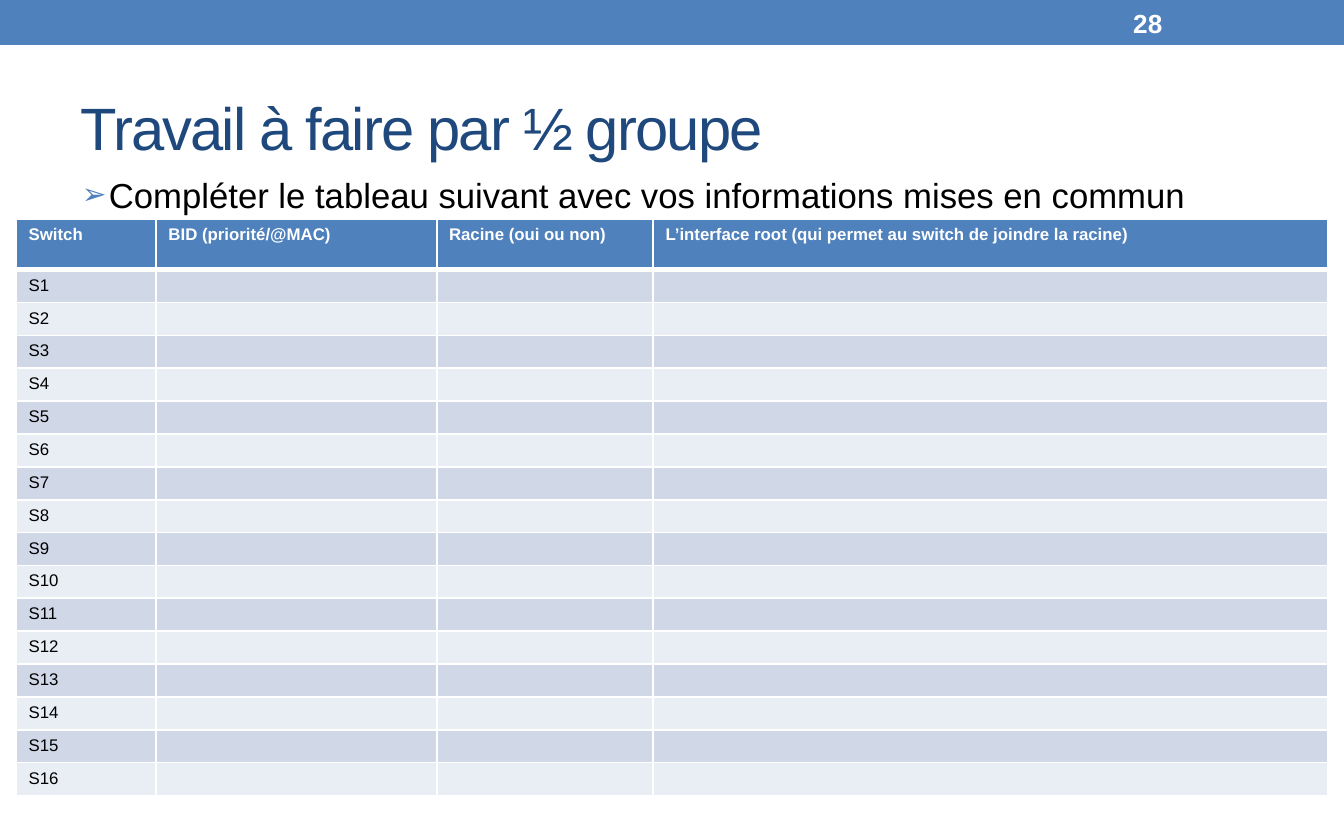
"""Build the slide with the switch table to be completed by each half group."""
import dataclasses
import typing

import lxml.etree
import pptx
import pptx.dml.color
import pptx.enum.shapes
import pptx.enum.text
import pptx.oxml.ns
import pptx.util

Pt = pptx.util.Pt
RGBColor = pptx.dml.color.RGBColor
qn = pptx.oxml.ns.qn

BLUE = RGBColor(0x4F, 0x81, 0xBD)
NAVY = RGBColor(0x1F, 0x49, 0x7D)
BLACK = RGBColor(0x00, 0x00, 0x00)
WHITE = RGBColor(0xFF, 0xFF, 0xFF)
BAND_DARK = RGBColor(0xD0, 0xD8, 0xE8)
BAND_LIGHT = RGBColor(0xE9, 0xED, 0xF4)

SWITCH_COUNT = 16
HEADER_HEIGHT = 27
ROW_HEIGHT = 17.3
THIN, THICK = 1, 3


@dataclasses.dataclass(frozen=True)
class Column:
    heading: str
    width: float


@dataclasses.dataclass(frozen=True)
class RowStyle:
    fill: RGBColor
    color: RGBColor
    bold: bool
    top: float
    bottom: float


COLUMNS = (
    Column("Switch", 74.9),
    Column("BID (priorité/@MAC)", 150.3),
    Column("Racine (oui ou non)", 116),
    Column("L’interface root (qui permet au switch de joindre la racine)", 361.5),
)


def place(shape: typing.Any, left: float, top: float, width: float, height: float) -> None:
    """Set the position and size of a shape in points."""
    shape.left, shape.top = Pt(left), Pt(top)
    shape.width, shape.height = Pt(width), Pt(height)


def write(frame: typing.Any, text: str, size: float, color: RGBColor, bold: bool = False) -> typing.Any:
    """Fill a text frame with one left-aligned paragraph and return it."""
    frame.text = text
    paragraph = frame.paragraphs[0]
    paragraph.alignment = pptx.enum.text.PP_ALIGN.LEFT
    font = paragraph.font
    font.name, font.size, font.bold = "Arial", Pt(size), bold
    font.color.rgb = color
    return paragraph


def add_bullet(paragraph: typing.Any, char: str, color: RGBColor, percent: int, indent: float) -> None:
    """Give a paragraph a coloured bullet with a hanging indent."""
    properties = paragraph._p.get_or_add_pPr()
    properties.set("marL", str(Pt(indent)))
    properties.set("indent", str(-Pt(indent)))
    bullet_color = lxml.etree.Element(qn("a:buClr"))
    lxml.etree.SubElement(bullet_color, qn("a:srgbClr"), val=str(color))
    bullet_size = lxml.etree.Element(qn("a:buSzPct"), val=str(percent * 1000))
    bullet_font = lxml.etree.Element(qn("a:buFont"), typeface="Arial")
    bullet_char = lxml.etree.Element(qn("a:buChar"), char=char)
    default_font = properties.find(qn("a:defRPr"))
    for element in (bullet_color, bullet_size, bullet_font, bullet_char):
        default_font.addprevious(element)


def set_borders(cell: typing.Any, top: float, bottom: float) -> None:
    """Draw white borders around a table cell."""
    properties = cell._tc.get_or_add_tcPr()
    widths = {"a:lnL": THIN, "a:lnR": THIN, "a:lnT": top, "a:lnB": bottom}
    for position, (tag, width) in enumerate(widths.items()):
        line = lxml.etree.Element(qn(tag), w=str(Pt(width)))
        fill = lxml.etree.SubElement(line, qn("a:solidFill"))
        lxml.etree.SubElement(fill, qn("a:srgbClr"), val=str(WHITE))
        properties.insert(position, line)


def row_style(row: int) -> RowStyle:
    """Choose the style of a table row from its index."""
    if row == 0:
        return RowStyle(BLUE, WHITE, True, THIN, THICK)
    band = BAND_DARK if row % 2 else BAND_LIGHT
    return RowStyle(band, BLACK, False, THICK if row == 1 else THIN, THIN)


def fill_cell(cell: typing.Any, text: str, style: RowStyle) -> None:
    """Write and format one table cell."""
    cell.margin_left = cell.margin_right = Pt(6.6)
    cell.margin_top = cell.margin_bottom = Pt(3.4)
    write(cell.text_frame, text, 9, style.color, style.bold)
    cell.fill.solid()
    cell.fill.fore_color.rgb = style.fill
    set_borders(cell, style.top, style.bottom)


def add_switch_table(slide: typing.Any) -> None:
    """Add the table with one row for each switch."""
    width = sum(column.width for column in COLUMNS)
    height = HEADER_HEIGHT + SWITCH_COUNT * ROW_HEIGHT
    table = slide.shapes.add_table(
        SWITCH_COUNT + 1, len(COLUMNS), Pt(8.8), Pt(117.5), Pt(width), Pt(height)
    ).table
    for index, column in enumerate(COLUMNS):
        table.columns[index].width = Pt(column.width)
    for index, row in enumerate(table.rows):
        row.height = Pt(ROW_HEIGHT if index else HEADER_HEIGHT)
        for position, column in enumerate(COLUMNS):
            label = f"S{index}" if position == 0 else ""
            fill_cell(table.cell(index, position), label if index else column.heading, row_style(index))


def main() -> None:
    """Build and save the presentation."""
    deck = pptx.Presentation()
    deck.slide_width, deck.slide_height = Pt(720), Pt(450)
    slide = deck.slides.add_slide(deck.slide_layouts[1])

    banner = slide.shapes.add_shape(
        pptx.enum.shapes.MSO_SHAPE.RECTANGLE, 0, 0, deck.slide_width, Pt(24)
    )
    banner.shadow.inherit = False
    banner.fill.solid()
    banner.fill.fore_color.rgb = BLUE
    banner.line.fill.background()

    title = slide.shapes.title
    place(title, 36, 35.3, 648, 64.8)
    title.text_frame.auto_size = pptx.enum.text.MSO_AUTO_SIZE.NONE
    title.text_frame.vertical_anchor = pptx.enum.text.MSO_ANCHOR.MIDDLE
    heading = write(title.text_frame, "Travail à faire par ½ groupe", 32, NAVY)
    heading._p.pPr.find(qn("a:defRPr")).set("spc", "-100")

    body = slide.placeholders[1]
    place(body, 36.7, 89.3, 648, 35.3)
    body.text_frame.auto_size = pptx.enum.text.MSO_AUTO_SIZE.NONE
    task = write(
        body.text_frame,
        "Compléter le tableau suivant avec vos informations mises en commun\u00a0",
        18.6,
        BLACK,
    )
    task.space_before = Pt(3.7)
    add_bullet(task, "➢", BLUE, 85, 14.4)

    page_number = slide.shapes.add_textbox(Pt(600), Pt(1.4), Pt(84), Pt(21.6))
    page_number.text_frame.word_wrap = True
    page_number.text_frame.vertical_anchor = pptx.enum.text.MSO_ANCHOR.MIDDLE
    write(page_number.text_frame, "28", 14, WHITE, bold=True)

    add_switch_table(slide)
    deck.save("out.pptx")


main()
